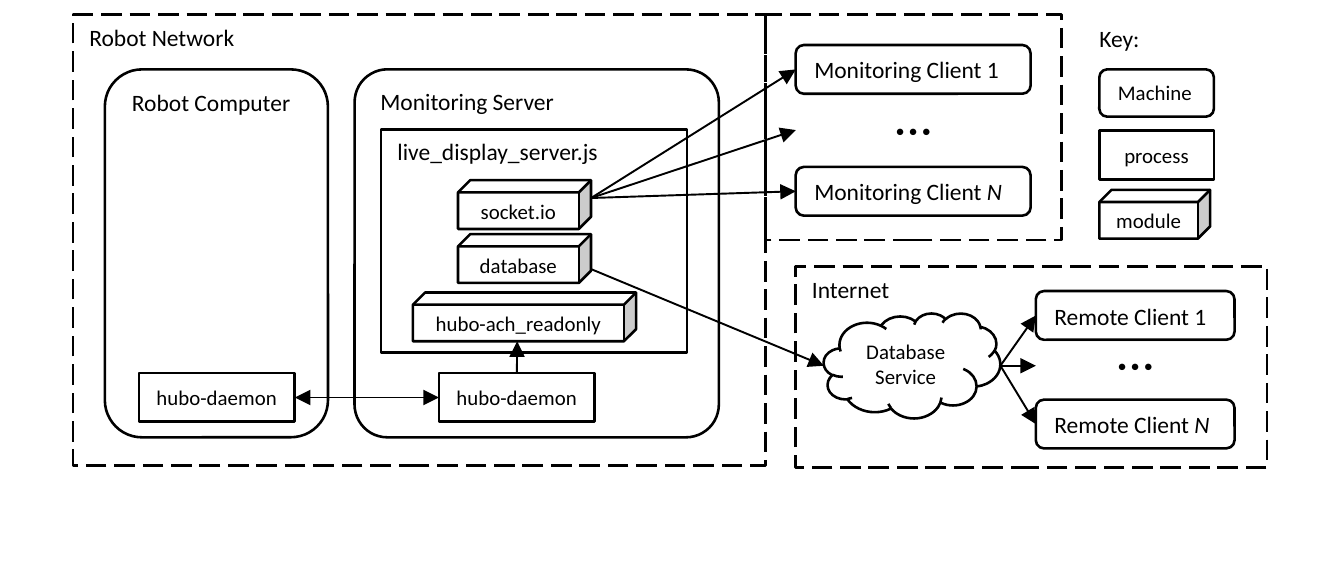
from lxml.etree import SubElement
from pptx import Presentation
from pptx.dml.color import RGBColor
from pptx.enum.dml import MSO_LINE
from pptx.enum.shapes import MSO_CONNECTOR, MSO_SHAPE as SHAPE
from pptx.enum.text import MSO_ANCHOR as ANCHOR, PP_ALIGN as ALIGN
from pptx.oxml.ns import qn
from pptx.util import Cm, Pt

BLACK = RGBColor(0x00, 0x00, 0x00)
WHITE = RGBColor(0xFF, 0xFF, 0xFF)
FONT = "Calibri"
BOX_H = 0.66  # height of every process, module and client box


def format_text(tf, text, size, italic=""):
    """Write one paragraph, with an optional italic ending."""
    p = tf.paragraphs[0]
    p.text = text
    if italic:
        r = p.add_run()
        r.text = italic
        r.font.italic = True
    for r in p.runs:
        r.font.name = FONT
        r.font.size = Pt(size)
        r.font.color.rgb = BLACK
    return p


def add_box(slide, kind, x, y, w, h, text="", size=9, italic="",
            centred=False, filled=False, dashed=False, outlined=True):
    sp = slide.shapes.add_shape(kind, Cm(x), Cm(y), Cm(w), Cm(h))
    sp.shadow.inherit = False
    if filled:
        sp.fill.solid()
        sp.fill.fore_color.rgb = WHITE
    else:
        sp.fill.background()
    if outlined:
        sp.line.color.rgb = BLACK
        sp.line.width = Pt(1)
        if dashed:
            sp.line.dash_style = MSO_LINE.LONG_DASH
    else:
        sp.line.fill.background()
    tf = sp.text_frame
    tf.word_wrap = True
    tf.margin_left = tf.margin_right = Cm(0.22)
    tf.margin_top = tf.margin_bottom = Cm(0.11)
    tf.vertical_anchor = ANCHOR.MIDDLE if centred else ANCHOR.TOP
    if text:
        p = format_text(tf, text, size, italic)
        p.alignment = ALIGN.CENTER if centred else ALIGN.LEFT
    return sp


def add_network(slide, x, y, w, h, text=""):
    return add_box(slide, SHAPE.RECTANGLE, x, y, w, h, text, dashed=True)


def add_machine(slide, x, y, w, h, text, size=9, italic=""):
    return add_box(slide, SHAPE.ROUNDED_RECTANGLE, x, y, w, h, text, size, italic)


def add_process(slide, x, y, w, text):
    return add_box(slide, SHAPE.RECTANGLE, x, y, w, BOX_H, text, 8,
                   centred=True, filled=True)


def add_module(slide, x, y, w, text):
    return add_box(slide, SHAPE.CUBE, x, y, w, BOX_H, text, 8,
                   centred=True, filled=True)


def add_clients(slide, x, tops, w, name):
    """First client, ellipsis and client N, from top to bottom."""
    first, dots, last = tops
    return [
        add_machine(slide, x, first, w, BOX_H, f"{name} 1"),
        add_box(slide, SHAPE.RECTANGLE, x, dots, w, BOX_H, "• • •", 7,
                centred=True, filled=True, outlined=False),
        add_machine(slide, x, last, w, BOX_H, f"{name} ", italic="N"),
    ]


def add_arrow(slide, start, end, source=None, target=None, both=False):
    """Arrow between points; source and target are (shape, side) joints."""
    cn = slide.shapes.add_connector(
        MSO_CONNECTOR.STRAIGHT, *(Cm(v) for v in (*start, *end)))
    if source:
        cn.begin_connect(*source)
    if target:
        cn.end_connect(*target)
    cn.line.color.rgb = BLACK
    cn.line.width = Pt(0.75)
    ln = cn.line._get_or_add_ln()
    if both:
        SubElement(ln, qn("a:headEnd"), type="triangle")
    SubElement(ln, qn("a:tailEnd"), type="triangle")
    SubElement(cn._element.spPr, qn("a:effectLst"))


def add_fan(slide, start, boxes):
    """Arrows from one point to the left side of each box."""
    for box in boxes:
        add_arrow(slide, start, start, target=(box, 1))


def add_label(slide, x, y, w, h, text):
    tf = slide.shapes.add_textbox(Cm(x), Cm(y), Cm(w), Cm(h)).text_frame
    tf.word_wrap = False
    format_text(tf, text, 9)


def add_key(slide, x):
    add_label(slide, x - 0.25, 0.2, 1.07, 0.64, "Key:")
    add_machine(slide, x, 0.94, 1.55, 0.64, "Machine", 8)
    add_process(slide, x, 1.77, 1.55, "process")
    add_module(slide, x, 2.57, 1.5, "module")


def main():
    prs = Presentation()
    prs.slide_width, prs.slide_height = Cm(18.19), Cm(7.62)
    slide = prs.slides.add_slide(prs.slide_layouts[6])

    # Networks
    add_network(slide, 0.99, 0.2, 9.37, 6.1, "Robot Network")
    add_network(slide, 10.36, 0.2, 4.01, 3.05)
    add_network(slide, 10.77, 3.61, 6.38, 2.72, "Internet")

    # Machines inside the robot network
    add_machine(slide, 1.42, 0.94, 3.02, 4.98, "Robot Computer")
    server = add_machine(slide, 4.8, 0.94, 4.93, 4.98, "Monitoring Server")
    server.adjustments[0] = 0.09

    # Display server and its modules; the cloud arrow starts behind a module
    add_box(slide, SHAPE.RECTANGLE, 5.16, 1.75, 4.14, 3.02, "live_display_server.js")
    add_arrow(slide, (7.85, 3.58), (11.15, 4.95))
    add_module(slide, 6.2, 2.44, 1.8, "socket.io")
    add_module(slide, 6.2, 3.17, 1.8, "database")
    add_module(slide, 5.59, 3.96, 3.02, "hubo-ach_readonly")

    # Daemons
    robot_daemon = add_process(slide, 1.88, 5.05, 2.11, "hubo-daemon")
    server_daemon = add_process(slide, 5.94, 5.05, 2.11, "hubo-daemon")
    add_arrow(slide, (3.99, 5.38), (5.94, 5.38),
              (robot_daemon, 3), (server_daemon, 1), both=True)
    add_arrow(slide, (7, 5.05), (7, 4.62), source=(server_daemon, 0))

    # Monitoring clients
    clients = add_clients(slide, 10.77, (0.61, 1.43, 2.26), 3.18, "Monitoring Client")
    add_fan(slide, (8, 2.68), clients)

    # Cloud service and remote clients
    add_box(slide, SHAPE.CLOUD, 11.15, 4.24, 2.39, 1.42, "Database Service", 8,
            centred=True, filled=True)
    remotes = add_clients(slide, 14.02, (3.94, 4.62, 5.41), 2.69, "Remote Client")
    add_fan(slide, (13.54, 4.95), remotes)

    add_key(slide, 14.88)
    prs.save("out.pptx")


if __name__ == "__main__":
    main()
